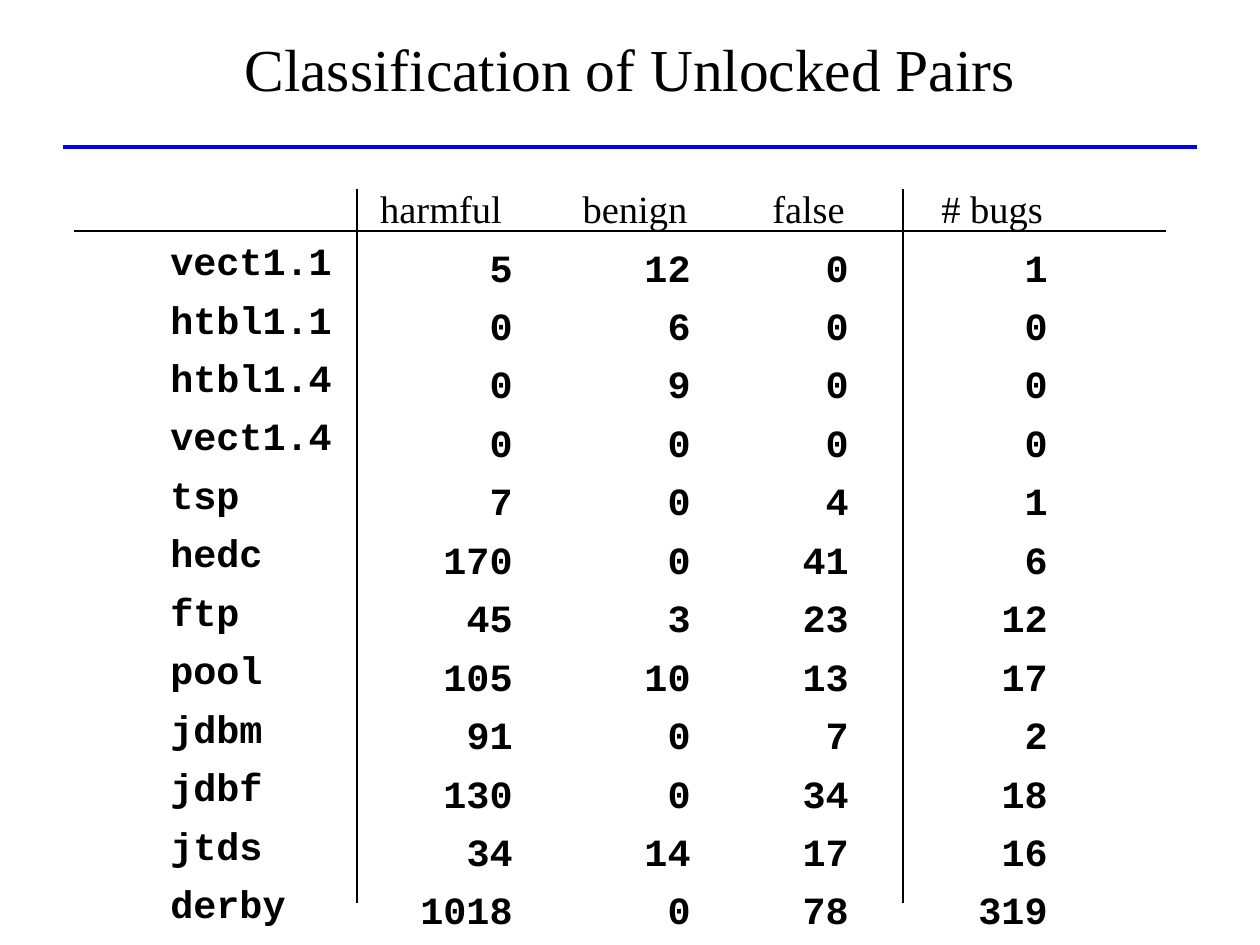
from pptx import Presentation
from pptx.dml.color import RGBColor
from pptx.enum.shapes import MSO_CONNECTOR
from pptx.enum.text import MSO_ANCHOR, PP_ALIGN
from pptx.oxml.ns import qn
from pptx.util import Emu, Pt
from lxml import etree

PX_PER_INCH = 126
SLIDE_WIDTH, SLIDE_HEIGHT = 1260, 945
BLACK = RGBColor(0x00, 0x00, 0x00)
BLUE = RGBColor(0x00, 0x00, 0xFF)
SERIF, MONO = "Times New Roman", "Courier New"

HEADER_TOP, NAMES_TOP, TABLE_BOTTOM = 179, 231, 914
PROGRAMS = ["vect1.1", "htbl1.1", "htbl1.4", "vect1.4", "tsp", "hedc",
            "ftp", "pool", "jdbm", "jdbf", "jtds", "derby"]
# heading, left, width, one count per program
COLUMNS = [
    ("harmful", 357, 168, [5, 0, 0, 0, 7, 170, 45, 105, 91, 130, 34, 1018]),
    ("benign", 567, 136, [12, 6, 9, 0, 0, 0, 3, 10, 0, 0, 14, 0]),
    ("false", 756, 105, [0, 0, 0, 0, 4, 41, 23, 13, 7, 34, 17, 78]),
    ("# bugs", 924, 136, [1, 0, 0, 0, 1, 6, 12, 17, 2, 18, 16, 319]),
]


def px(length):
    return Emu(round(length * 914400 / PX_PER_INCH))


class SlideBuilder:
    title_size = Pt(34)
    body_size = Pt(22)
    row_gap = Pt(7)

    def __init__(self, slide):
        self.slide = slide

    def text_box(self, left, top, width, height, anchor=MSO_ANCHOR.TOP):
        shape = self.slide.shapes.add_textbox(*map(px, (left, top, width, height)))
        frame = shape.text_frame
        frame.word_wrap = True
        frame.vertical_anchor = anchor
        return frame

    def run(self, paragraph, text, font, size, bold=False):
        run = paragraph.add_run()
        run.text = text
        run.font.name = font
        run.font.size = size
        run.font.bold = bold
        run.font.color.rgb = BLACK

    def title(self, text):
        frame = self.text_box(0, 10, SLIDE_WIDTH, 116, MSO_ANCHOR.MIDDLE)
        paragraph = frame.paragraphs[0]
        paragraph.alignment = PP_ALIGN.CENTER
        self.run(paragraph, text, SERIF, self.title_size)

    def column(self, left, top, width, entries, alignment, heading=None):
        """Stack entries in bold mono, below a centred serif heading if given."""
        frame = self.text_box(left, top, width, TABLE_BOTTOM - top)
        rows = [(str(entry), alignment, MONO, True) for entry in entries]
        if heading:
            rows.insert(0, (heading, PP_ALIGN.CENTER, SERIF, False))
        for index, (text, row_alignment, font, bold) in enumerate(rows):
            paragraph = frame.add_paragraph() if index else frame.paragraphs[0]
            paragraph.alignment = row_alignment
            paragraph.space_before = self.row_gap
            self.run(paragraph, text, font, self.body_size, bold)

    def line(self, start_x, start_y, end_x, end_y, color=BLACK, width=0.75):
        connector = self.slide.shapes.add_connector(
            MSO_CONNECTOR.STRAIGHT, *map(px, (start_x, start_y, end_x, end_y)))
        connector.line.color.rgb = color
        connector.line.width = Pt(width)
        etree.SubElement(connector._element.spPr, qn("a:effectLst"))


def main():
    presentation = Presentation()
    presentation.slide_width = px(SLIDE_WIDTH)
    presentation.slide_height = px(SLIDE_HEIGHT)
    slide = presentation.slides.add_slide(presentation.slide_layouts[6])
    builder = SlideBuilder(slide)

    builder.line(63, 147, 1197, 147, BLUE, 2.25)
    builder.title("Classification of Unlocked Pairs")
    builder.column(158, NAMES_TOP, 252, PROGRAMS, PP_ALIGN.LEFT)
    for heading, left, width, counts in COLUMNS:
        builder.column(left, HEADER_TOP, width, counts, PP_ALIGN.RIGHT, heading)
    builder.line(74, 231, 1166, 231)
    for divider in (357, 903):
        builder.line(divider, 189, divider, 903)

    presentation.save("out.pptx")


if __name__ == "__main__":
    main()
